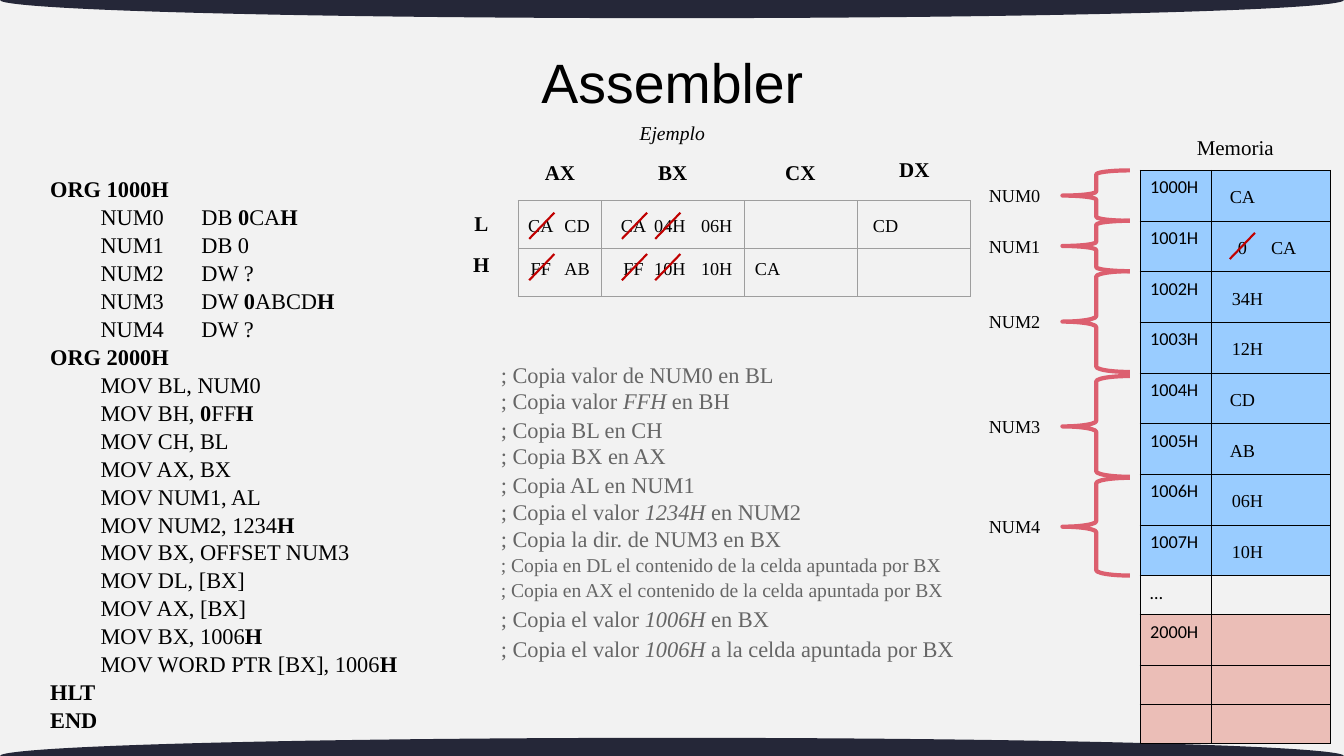
import pptx
import pptx.util
import pptx.dml.color
import pptx.enum.shapes
import pptx.enum.text
import pptx.oxml
import pptx.oxml.ns
import lxml.etree

SHAPE = pptx.enum.shapes.MSO_SHAPE
ALIGN = pptx.enum.text.PP_ALIGN
ANCHOR = pptx.enum.text.MSO_ANCHOR
CELL = pptx.util.Inches(0.1)  # side of one grid square
COLS, ROWS = 133.33, 75


def grid(n):
    return pptx.util.Emu(round(n * CELL))


def rgb(code):
    return pptx.dml.color.RGBColor.from_string(code)


def write(p, text, size=13, font="Times New Roman", color="000000", align=None,
          mark="bold", bold=None, italic=None, spacing=None):
    """Write text in a paragraph; parts between asterisks take the mark."""
    p.alignment = align
    if spacing:
        p.line_spacing = spacing
    for i, part in enumerate(text.split("*")):
        if not part:
            continue
        r = p.add_run()
        r.text = part
        r.font.size, r.font.name = pptx.util.Pt(size), font
        r.font.color.rgb = rgb(color)
        r.font.bold, r.font.italic = bold, italic
        if i % 2:
            setattr(r.font, mark, True)


def sub(parent, tag, **attrs):
    return lxml.etree.SubElement(parent, pptx.oxml.ns.qn(tag), attrs)


class Slide:
    dark, strike_red, brace_red, gray = "252738", "C00000", "DC5F6F", "666666"

    def __init__(self, prs):
        self.s = prs.slides.add_slide(prs.slide_layouts[5])
        self.s.background.fill.solid()
        self.s.background.fill.fore_color.rgb = rgb("F2F2F2")

    def frame(self, sp, x_inset=1, y_inset=1):
        tf = sp.text_frame
        tf.word_wrap = True
        tf.auto_size = pptx.enum.text.MSO_AUTO_SIZE.NONE
        tf.margin_left = tf.margin_right = grid(x_inset)
        tf.margin_top = tf.margin_bottom = grid(y_inset)
        return tf

    def title(self, text, x, y, w, h):
        sp = self.s.shapes.title
        sp.left, sp.top, sp.width, sp.height = map(grid, (x, y, w, h))
        tf = self.frame(sp, y_inset=0.5)
        tf.vertical_anchor = ANCHOR.MIDDLE
        write(tf.paragraphs[0], text, size=39.6, font="Arial", align=ALIGN.CENTER, spacing=0.9)

    def box(self, x, y, w, h, y_inset=1):
        return self.frame(self.s.shapes.add_textbox(*map(grid, (x, y, w, h))), y_inset=y_inset)

    def label(self, text, x, y, w=5.1, h=3.4, y_inset=1, align=ALIGN.CENTER, **style):
        write(self.box(x, y, w, h, y_inset).paragraphs[0], text, align=align, **style)

    def shape(self, kind, x, y, w, h, fill=None, line=None):
        sp = self.s.shapes.add_shape(kind, *map(grid, (x, y, w, h)))
        sp.shadow.inherit = False
        if fill:
            sp.fill.solid()
            sp.fill.fore_color.rgb = rgb(fill)
        else:
            sp.fill.background()
        if line:
            sp.line.color.rgb = rgb(line)
            sp.line.width = pptx.util.Pt(3)
        else:
            sp.line.fill.background()
        return sp

    def brace(self, x, y, w, h):
        sp = self.shape(SHAPE.RIGHT_BRACE, x, y, w, h, line=self.brace_red)
        sp.rotation = 180
        sp.adjustments[0] = 0.08

    def strike(self, x, y):
        c = self.s.shapes.add_connector(pptx.enum.shapes.MSO_CONNECTOR.STRAIGHT,
                                        *map(grid, (x + 2.5, y, x, y + 2.6)))
        c.line.color.rgb = rgb(self.strike_red)
        c.line.width = pptx.util.Pt(1.5)
        sub(c._element.spPr, "a:effectLst")

    def table(self, x, y, widths, heights, border, texts=(), fills=()):
        gf = self.s.shapes.add_table(len(heights), len(widths),
                                     *map(grid, (x, y, sum(widths), sum(heights))))
        t = gf.table
        t.first_row = t.horz_banding = False
        for col, w in zip(t.columns, widths):
            col.width = grid(w)
        for i, h in enumerate(heights):
            t.rows[i].height = grid(h)
            for j, cell in enumerate(t.rows[i].cells):
                cell.margin_left = cell.margin_right = grid(1)
                cell.margin_top = cell.margin_bottom = 0
                tcPr = cell._tc.get_or_add_tcPr()
                for side in "LRTB":
                    ln = sub(tcPr, "a:ln" + side, w=str(pptx.util.Pt(0.75)))
                    sub(sub(ln, "a:solidFill"), "a:srgbClr", val=border)
                if fills and fills[i]:
                    cell.fill.solid()
                    cell.fill.fore_color.rgb = rgb(fills[i])
                else:
                    cell.fill.background()
                if j == 0 and i < len(texts):
                    cell.margin_top, cell.margin_bottom = grid(0.6), grid(0.5)
                    write(cell.text_frame.paragraphs[0], texts[i], font="Calibri")

    def code(self, lines, x, y, w, h, indent=5, tab=20):
        tf = self.box(x, y, w, h)
        for i, text in enumerate(lines):
            p = tf.paragraphs[0] if i == 0 else tf.add_paragraph()
            pPr = p._p.get_or_add_pPr()
            if not text.startswith("*"):
                pPr.set("marL", "0")
                pPr.set("indent", str(grid(indent)))
            if "\t" in text:
                sub(sub(pPr, "a:tabLst"), "a:tab", pos=str(grid(tab)), algn="l")
            write(p, text, size=16, spacing=1.04)


def main():
    prs = pptx.Presentation()
    prs.slide_width, prs.slide_height = grid(COLS), grid(ROWS)
    sl = Slide(prs)

    # Curved edges and headings
    for edge in (0, ROWS):
        sl.shape(SHAPE.OVAL, 0, edge - 1.8, COLS, 3.6, fill=sl.dark)
    sl.title("Assembler", 35.1, 3.8, 63.2, 9.4)
    sl.label("Ejemplo", 44, 11.5, 45.4, y_inset=0.5, size=14, italic=True)

    # Program
    sl.code(["*ORG 1000H*", "NUM0\tDB *0*CA*H*", "NUM1\tDB 0", "NUM2\tDW ?",
             "NUM3\tDW *0*ABCD*H*", "NUM4\tDW ?", "*ORG 2000H*", "MOV BL, NUM0",
             "MOV BH, *0*FF*H*", "MOV CH, BL", "MOV AX, BX", "MOV NUM1, AL",
             "MOV NUM2, 1234*H*", "MOV BX, OFFSET NUM3", "MOV DL, [BX]",
             "MOV AX, [BX]", "MOV BX, 1006*H*", "MOV WORD PTR [BX], 1006*H*",
             "*HLT*", "*END*"], 4, 16.3, 43.2, 55.6)

    # Comments beside the instructions
    for y, w, size, text in [
            (34.8, 39.3, 16, "; Copia valor de NUM0 en BL"),
            (37.4, 39.3, 16, "; Copia valor *FFH* en BH"),
            (40.3, 39.3, 16, "; Copia BL en CH"),
            (42.9, 39.3, 16, "; Copia BX en AX"),
            (45.7, 39.3, 16, "; Copia AL en NUM1"),
            (48.4, 39.3, 16, "; Copia el valor *1234H* en NUM2"),
            (51.1, 39.3, 16, "; Copia la dir. de NUM3 en BX"),
            (53.9, 57.8, 14, "; Copia en DL el contenido de la celda apuntada por BX"),
            (56.3, 57.8, 14, "; Copia en AX el contenido de la celda apuntada por BX"),
            (59, 57.8, 16, "; Copia el valor *1006H* en BX"),
            (62, 60.8, 16, "; Copia el valor *1006H *a la celda apuntada por BX")]:
        sl.label(text, 48.7, y, w, align=None, size=size, color=sl.gray, mark="italic")

    # Registers
    sl.table(51.4, 19.9, [8.3, 14.2, 11.2, 11.2], [4.76, 4.76], "9E9E9E")
    for text, x, y, w in [("AX", 51.4, 14.8, 8.3), ("BX", 59.6, 14.8, 14.3),
                          ("CX", 73.8, 14.8, 11.2), ("DX", 85.1, 14.5, 11.2),
                          ("L", 45.2, 19.9, 5.1), ("H", 45.2, 24, 5.1)]:
        sl.label(text, x, y, w, 4, size=15, bold=True)
    low, high = 20.3, 24.5
    for x, w, low_text, high_text in [
            (51.1, 5.1, "CA", "FF"), (54.2, 6.1, "CD", "AB"),
            (60.3, 5.1, "CA", "FF"), (63.4, 6.1, "04H", "10H"),
            (67.9, 6.4, "06H", "10H"), (73.6, 5.1, "", "CA"), (85.3, 5.1, "CD", "")]:
        for y, text in ((low, low_text), (high, high_text)):
            if text:
                sl.label(text, x, y, w)
    for x in (52.5, 61.7, 65):
        for y in (21.1, 25.2):
            sl.strike(x, y)

    # Memory
    top, step, short = 16.9, 5.03, 3.87
    blue, pink = "99CCFF", "EBBEB7"
    sl.table(113.1, top, [7.1, 11.8], [step] * 8 + [short, step, short, short], "000000",
             [f"{1000 + i}H" for i in range(8)] + ["…", "2000H"],
             [blue] * 8 + [None] + [pink] * 3)
    sl.label("Memoria", 115.7, 12.3, 13.7, 4, size=15)
    for i, text in enumerate(["CA", "0", "34H", "12H", "CD", "AB", "06H", "10H"]):
        sl.label(text, 120.7, top + 0.5 + i * step, 6.1 if "H" in text else 5.1)
    sl.strike(122, 23.1)
    sl.label("CA", 124.8, 22.4)

    # Variables bracketed beside their memory cells
    for i, (y, h) in enumerate([(16.9, 5), (21.9, 5), (26.9, 10), (37.3, 10), (47.4, 9.7)]):
        sl.brace(105.4, y, 6.7, h)
        sl.label(f"NUM{i}", 96.3, y + h / 2 - 2.1, 8.7)

    prs.save("out.pptx")


if __name__ == "__main__":
    main()
